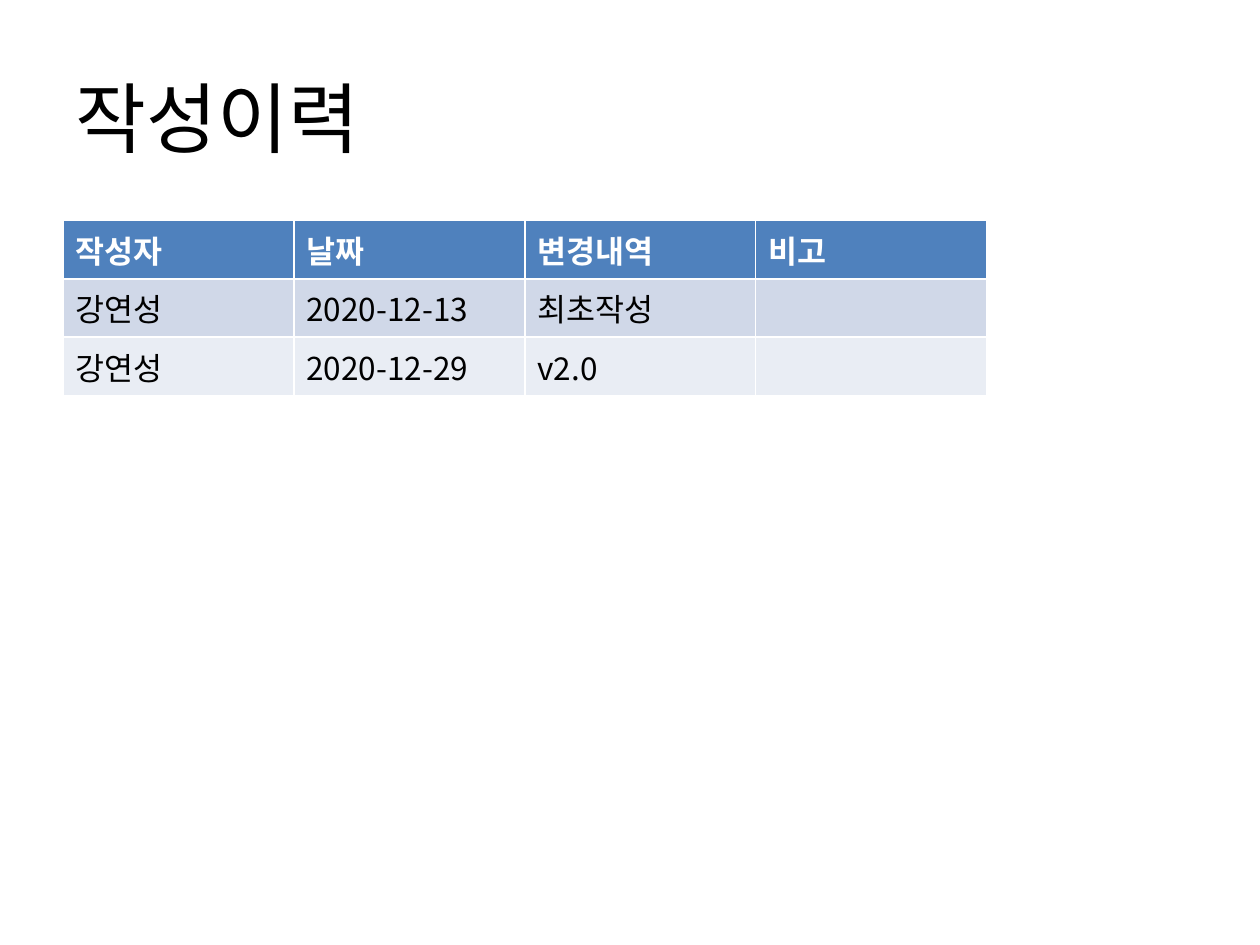
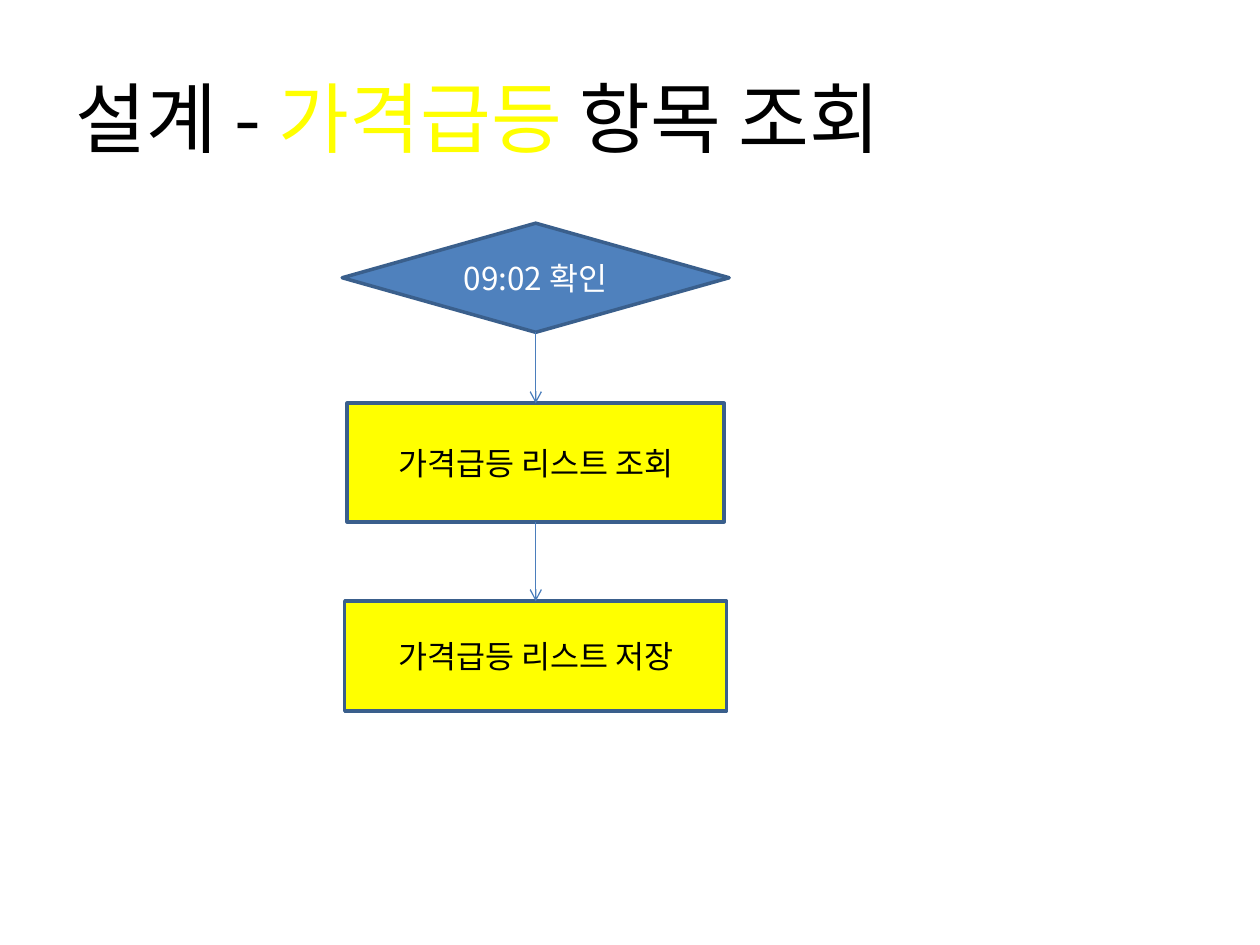
from lxml import etree
from pptx import Presentation
from pptx.dml.color import RGBColor
from pptx.enum.shapes import MSO_CONNECTOR, MSO_SHAPE
from pptx.enum.text import MSO_ANCHOR, PP_ALIGN
from pptx.oxml.ns import qn
from pptx.util import Cm, Pt

DECISION = MSO_SHAPE.FLOWCHART_DECISION
PROCESS = MSO_SHAPE.FLOWCHART_PROCESS
STRAIGHT = MSO_CONNECTOR.STRAIGHT
MIDDLE = MSO_ANCHOR.MIDDLE
LEFT = PP_ALIGN.LEFT
CENTER = PP_ALIGN.CENTER

BLACK = RGBColor(0x00, 0x00, 0x00)
WHITE = RGBColor(0xFF, 0xFF, 0xFF)
YELLOW = RGBColor(0xFF, 0xFF, 0x00)
BLUE = RGBColor(0x4F, 0x81, 0xBD)
OUTLINE = RGBColor(0x3A, 0x5F, 0x8C)
ARROW = RGBColor(0x4B, 0x7E, 0xBC)
ROW_BANDS = [RGBColor(0xD0, 0xD8, 0xE8), RGBColor(0xE9, 0xED, 0xF4)]

FONT = "Noto Sans CJK KR"
TITLE_SIZE = Pt(44)
BODY_SIZE = Pt(18)
MARGIN = Cm(1.27)
FLOW_CENTER = Cm(10.8)
TOP_SITE, BOTTOM_SITE = 0, 2

HISTORY = [
    ["작성자", "날짜", "변경내역", "비고"],
    ["강연성", "2020-12-13", "최초작성", ""],
    ["강연성", "2020-12-29", "v2.0", ""],
]

FLOW_STEPS = [
    (DECISION, "09:02 확인", 4.5, 7.8, 2.2, BLUE, WHITE),
    (PROCESS, "가격급등 리스트 조회", 8.13, 7.6, 2.39, YELLOW, BLACK),
    (PROCESS, "가격급등 리스트 저장", 12.12, 7.7, 2.21, YELLOW, BLACK),
]


def style_paragraph(paragraph, size, color, align=LEFT, bold=False):
    paragraph.alignment = align
    font = paragraph.font
    font.name = FONT
    font.size = size
    font.bold = bold
    font.color.rgb = color
    defaults = paragraph._p.pPr.find(qn("a:defRPr"))
    etree.SubElement(defaults, qn("a:ea")).set("typeface", FONT)


def add_titled_slide(deck, title_parts):
    slide = deck.slides.add_slide(deck.slide_layouts[5])
    title = slide.shapes.title
    title.left, title.top = MARGIN, Cm(0.76)
    title.width, title.height = Cm(22.86), Cm(3.18)
    title.text_frame.vertical_anchor = MIDDLE
    paragraph = title.text_frame.paragraphs[0]
    style_paragraph(paragraph, TITLE_SIZE, BLACK)
    for text, color in title_parts:
        run = paragraph.add_run()
        run.text = text
        run.font.color.rgb = color
    return slide


def add_history_table(slide, rows):
    column_count = len(rows[0])
    table = slide.shapes.add_table(
        len(rows), column_count, MARGIN, Cm(4.45),
        Cm(4.655 * column_count), Cm(1.03 * len(rows))).table
    for row_index, row in enumerate(rows):
        is_header = row_index == 0
        fill = BLUE if is_header else ROW_BANDS[(row_index - 1) % 2]
        for column_index, text in enumerate(row):
            cell = table.cell(row_index, column_index)
            cell.fill.solid()
            cell.fill.fore_color.rgb = fill
            cell.text = text
            style_paragraph(cell.text_frame.paragraphs[0], BODY_SIZE,
                            WHITE if is_header else BLACK, bold=is_header)


def add_step(slide, kind, text, top, width, height, fill, text_color):
    step = slide.shapes.add_shape(
        kind, FLOW_CENTER - Cm(width) // 2, Cm(top), Cm(width), Cm(height))
    step.shadow.inherit = False
    step.fill.solid()
    step.fill.fore_color.rgb = fill
    step.line.color.rgb = OUTLINE
    step.line.width = Pt(2)
    step.text_frame.word_wrap = True
    step.text_frame.vertical_anchor = MIDDLE
    step.text_frame.text = text
    style_paragraph(step.text_frame.paragraphs[0], BODY_SIZE, text_color, CENTER)
    return step


def connect_steps(slide, upper, lower):
    arrow = slide.shapes.add_connector(STRAIGHT, 0, 0, 0, 0)
    arrow.begin_connect(upper, BOTTOM_SITE)
    arrow.end_connect(lower, TOP_SITE)
    arrow.line.color.rgb = ARROW
    arrow.line.width = Pt(0.75)
    etree.SubElement(arrow.line._get_or_add_ln(), qn("a:tailEnd")).set("type", "arrow")
    etree.SubElement(arrow._element.spPr, qn("a:effectLst"))


def main():
    deck = Presentation()
    deck.slide_width, deck.slide_height = Cm(25.4), Cm(19.05)

    history = add_titled_slide(deck, [("작성이력", BLACK)])
    add_history_table(history, HISTORY)

    design = add_titled_slide(
        deck, [("설계 - ", BLACK), ("가격급등 ", YELLOW), ("항목 조회", BLACK)])
    steps = [add_step(design, *step) for step in FLOW_STEPS]
    for upper, lower in zip(steps, steps[1:]):
        connect_steps(design, upper, lower)

    deck.save("out.pptx")


main()
